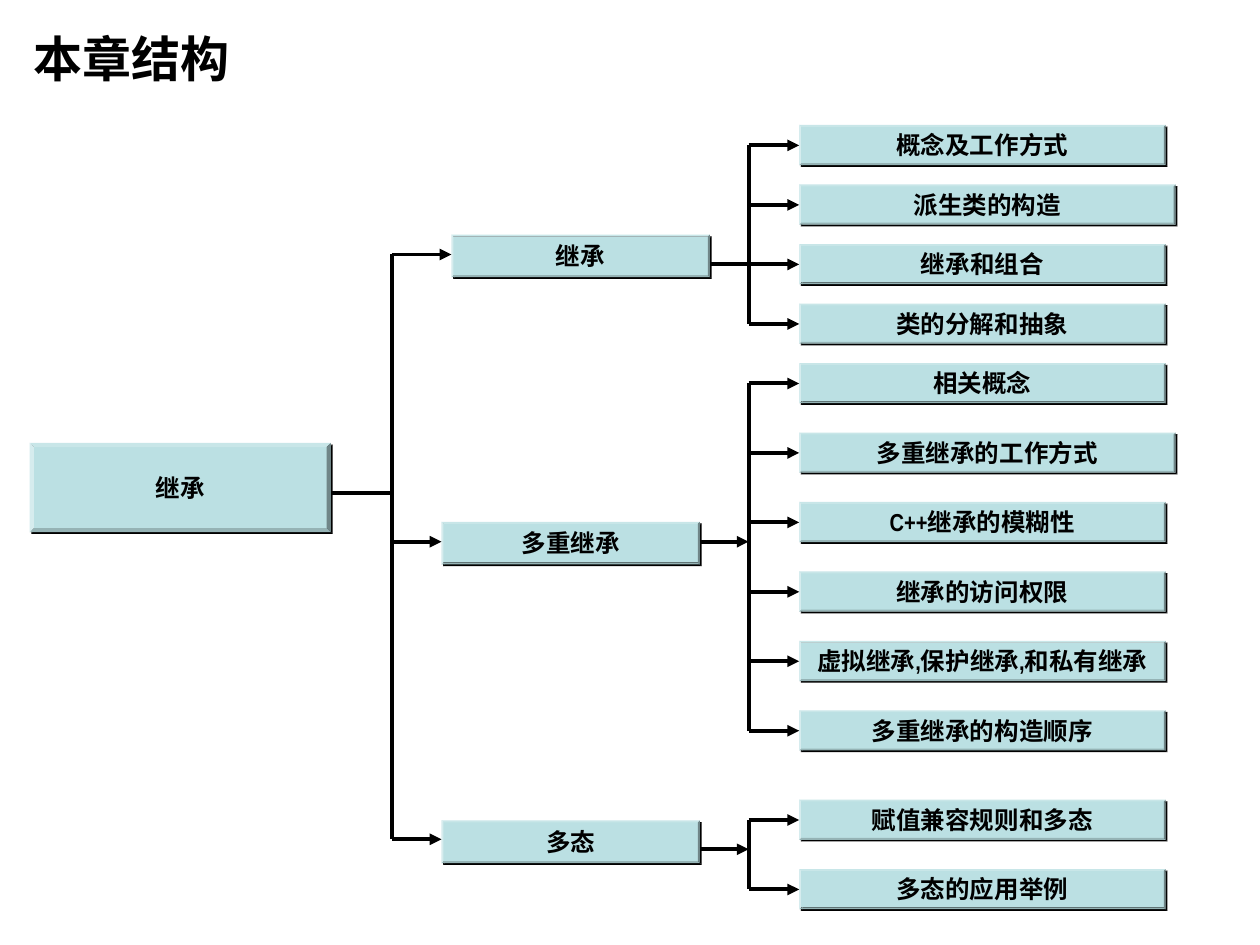
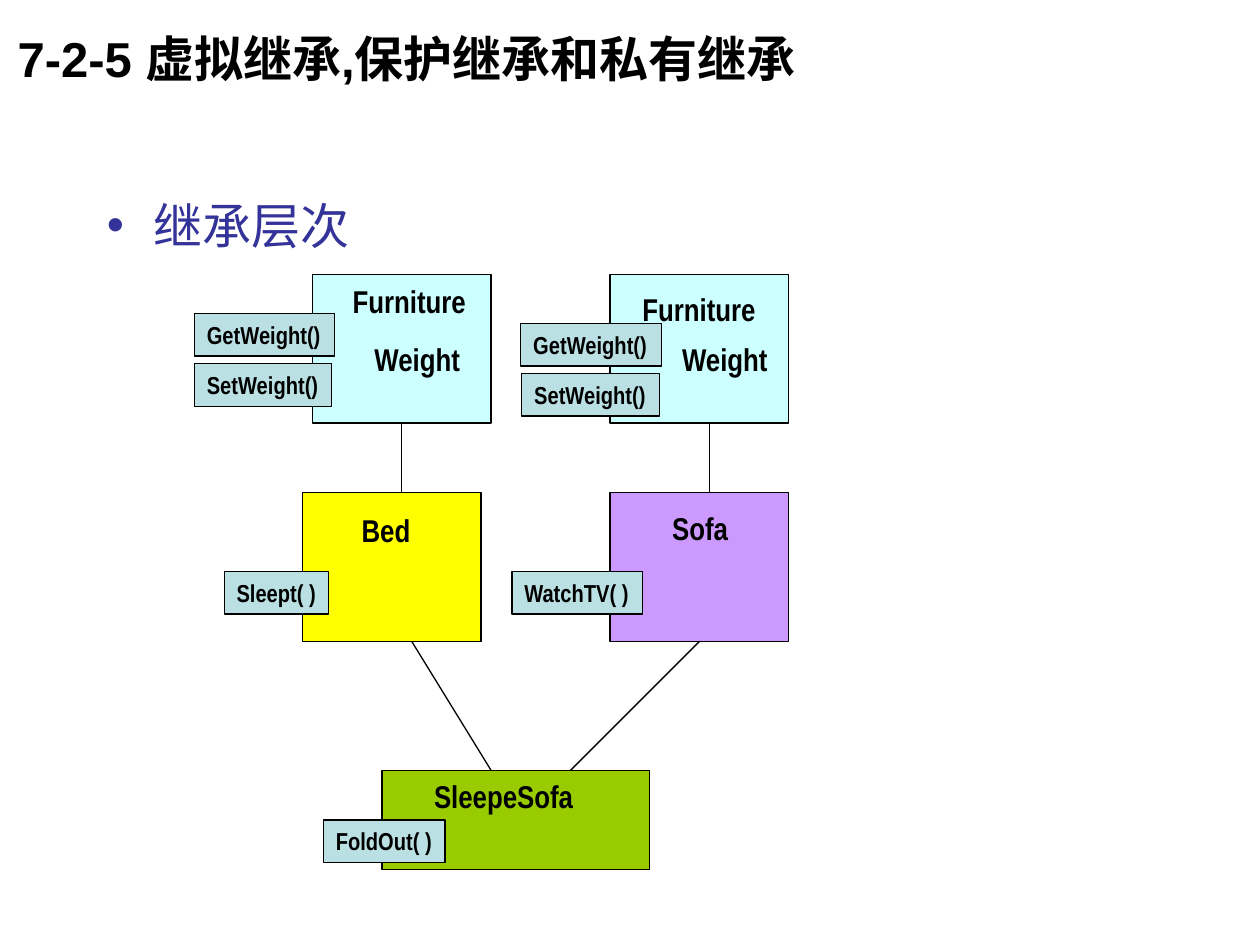
"""Builds two slides: the chapter structure tree and the inheritance hierarchy."""
from lxml import etree
from pptx import Presentation
from pptx import util as u
from pptx.dml.color import RGBColor
from pptx.enum import shapes, text
from pptx.oxml import ns

rgb = RGBColor.from_string
BLACK, TEAL, BLUE = "000000", "BBE0E3", "333399"
HEAD = {"size": u.Pt(28), "name": "Arial", "bold": True}
NAME = {"size": u.Pt(18), "name": "Arial Narrow", "bold": True}
TAG = {**NAME, "size": u.Pt(14)}
RECT, BEVEL = shapes.MSO_SHAPE.RECTANGLE, shapes.MSO_SHAPE.BEVEL
LEFT, MID = text.PP_ALIGN.LEFT, text.PP_ALIGN.CENTER


def box(page, area, words="", fill=None, kind=RECT, style=TAG):
    area = [u.Cm(n) for n in area]
    if fill:
        item = page.shapes.add_shape(kind, *area)
        item.shadow.inherit = False
        item.fill.solid()
        item.fill.fore_color.rgb = rgb(fill)
        item.line.color.rgb = rgb(BLACK)
        item.line.width = u.Pt(0.75)
    else:
        item = page.shapes.add_textbox(*area)
    if kind == BEVEL:
        item.adjustments[0] = 0.047
        item.line.fill.background()
        glow = item._element.spPr.find(ns.qn("a:effectLst"))
        cast = etree.SubElement(glow, ns.qn("a:outerShdw"), dist="17780", dir="2700000", algn="ctr", rotWithShape="0")
        etree.SubElement(cast, ns.qn("a:srgbClr"), val=BLACK)
    if words:
        frame = item.text_frame
        frame.word_wrap = False
        if kind == BEVEL:
            frame.vertical_anchor = text.MSO_ANCHOR.MIDDLE
        else:
            frame.vertical_anchor = text.MSO_ANCHOR.TOP
            frame.auto_size = text.MSO_AUTO_SIZE.SHAPE_TO_FIT_TEXT
        para = frame.paragraphs[0]
        para.text = words
        para.alignment = MID if kind == BEVEL else LEFT
        for key, val in style.items():
            setattr(para.font, key, val)
        para.font.color.rgb = rgb(BLACK)


def link(page, ends, width=2.25, head=False):
    item = page.shapes.add_connector(shapes.MSO_CONNECTOR.STRAIGHT, *[u.Cm(n) for n in ends])
    item.line.color.rgb = rgb(BLACK)
    item.line.width = u.Pt(width)
    if head:
        etree.SubElement(item.line._get_or_add_ln(), ns.qn("a:tailEnd"), type="triangle")
    etree.SubElement(item._element.spPr, ns.qn("a:effectLst"))


deck = Presentation()
deck.slide_width, deck.slide_height = u.Cm(25.4), u.Cm(19.05)

pages = []
for layout, left, words in [(5, 0.43, "本章结构"), (1, 0.1, "7-2-5 虚拟继承,保护继承和私有继承")]:
    page = deck.slides.add_slide(deck.slide_layouts[layout])
    title = page.shapes.title
    title.left, title.top, title.width, title.height = [u.Cm(n) for n in (left, 0, 19.05, 2.34)]
    title.text_frame.text = words
    title.text_frame.vertical_anchor = text.MSO_ANCHOR.MIDDLE
    para = title.text_frame.paragraphs[0]
    para.alignment = LEFT
    for key, val in HEAD.items():
        setattr(para.font, key, val)
    para.font.color.rgb = rgb(BLACK)
    pages.append(page)
tree, chart = pages

TRUNK, SPINE, LEAF = 7.9, 15.09, 16.11
GROUPS = [
    ("继承", 9.1, 4.73, 5.13, 5.33, False, 2.52, 1.2,
     ["概念及工作方式", "派生类的构造", "继承和组合", "类的分解和抽象"]),
    ("多重继承", 8.9, 10.52, 10.92, 10.92, True, 7.32, 1.4,
     ["相关概念", "多重继承的工作方式", "C++继承的模糊性", "继承的访问权限",
      "虚拟继承,保护继承,和私有继承", "多重继承的构造顺序"]),
    ("多态", 8.9, 16.54, 16.92, 17.12, True, 16.12, 1.4,
     ["赋值兼容规则和多态", "多态的应用举例"]),
]
WIDE = ("派生类的构造", "多重继承的工作方式")

box(tree, (0.6, 8.93, 6.07, 1.8), "继承", TEAL, BEVEL)
link(tree, (6.7, 9.93, TRUNK, 9.93))
link(tree, (TRUNK, GROUPS[0][3], TRUNK, GROUPS[-1][3]))
for words, left, top, inlet, outlet, head, start, step, leaves in GROUPS:
    box(tree, (left, top, 5.21, 0.86), words, TEAL, BEVEL)
    link(tree, (TRUNK, inlet, left, inlet), head=True)
    link(tree, (left + 5.21, outlet, SPINE, outlet), head=head)
    first = start + 0.41
    link(tree, (SPINE, first, SPINE, first + step * (len(leaves) - 1)))
    for row, leaf in enumerate(leaves):
        y = start + step * row
        box(tree, (LEAF, y, 7.59 if leaf in WIDE else 7.39, 0.81), leaf, TEAL, BEVEL)
        link(tree, (SPINE, y + 0.41, LEAF, y + 0.41), head=True)

body = chart.placeholders[1]
body.left, body.top, body.width, body.height = [u.Cm(n) for n in (1.9, 3.81, 21.59, 13.13)]
body.text_frame.text = "继承层次"
para = body.text_frame.paragraphs[0]
props = para._p.get_or_add_pPr()
props.set("marL", str(u.Cm(0.95)))
props.set("indent", str(u.Cm(-0.95)))
tint = etree.SubElement(props, ns.qn("a:buClr"))
etree.SubElement(tint, ns.qn("a:srgbClr"), val=BLUE)
etree.SubElement(props, ns.qn("a:buFont"), typeface="Arial")
etree.SubElement(props, ns.qn("a:buChar"), char="•")
para.space_before = u.Pt(0)
for key, val in {**HEAD, "bold": False}.items():
    setattr(para.font, key, val)
para.font.color.rgb = rgb(BLUE)

for left, top, width, height, fill in [
    (6.3, 5.53, 3.6, 3, "CCFFFF"),
    (12.3, 5.53, 3.6, 3, "CCFFFF"),
    (6.1, 9.93, 3.6, 3, "FFFF00"),
    (7.7, 15.53, 5.4, 2, "99CC00"),
    (12.3, 9.93, 3.6, 3, "CC99FF"),
]:
    box(chart, (left, top, width, height), fill=fill)

for words, left, top, width in [
    ("Furniture", 6.86, 5.57, 2.79),
    ("Furniture", 12.7, 5.72, 2.79),
    ("Weight", 7.3, 6.73, 2.24),
    ("Weight", 13.5, 6.73, 2.24),
    ("Bed", 7.04, 10.18, 1.5),
    ("Sofa", 13.3, 10.13, 1.65),
    ("SleepeSofa", 8.5, 15.53, 3.4),
]:
    box(chart, (left, top, width, 1.02), words, style=NAME)

for words, left, top, width in [
    ("GetWeight()", 3.92, 6.32, 2.82),
    ("SetWeight()", 3.92, 7.33, 2.77),
    ("GetWeight()", 10.5, 6.52, 2.84),
    ("SetWeight()", 10.52, 7.53, 2.77),
    ("Sleept( )", 4.52, 11.52, 2.11),
    ("WatchTV( )", 10.32, 11.52, 2.63),
    ("FoldOut( )", 6.52, 16.53, 2.45),
]:
    box(chart, (left, top, width, 0.86), words, TEAL)

for ends in [
    (8.1, 8.53, 8.1, 9.93),
    (14.3, 8.53, 14.3, 9.93),
    (8.3, 12.93, 9.9, 15.53),
    (14.1, 12.93, 11.5, 15.53),
]:
    link(chart, ends, 0.75)

deck.save("out.pptx")
